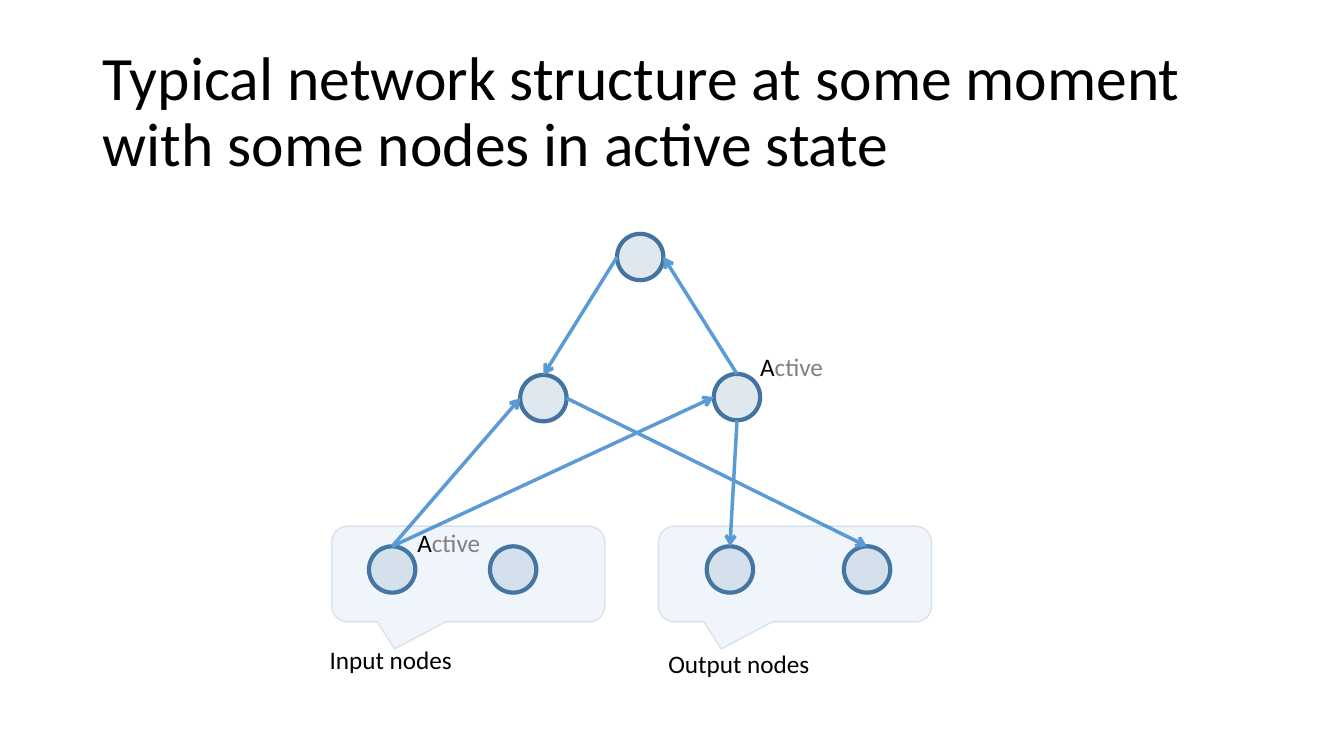
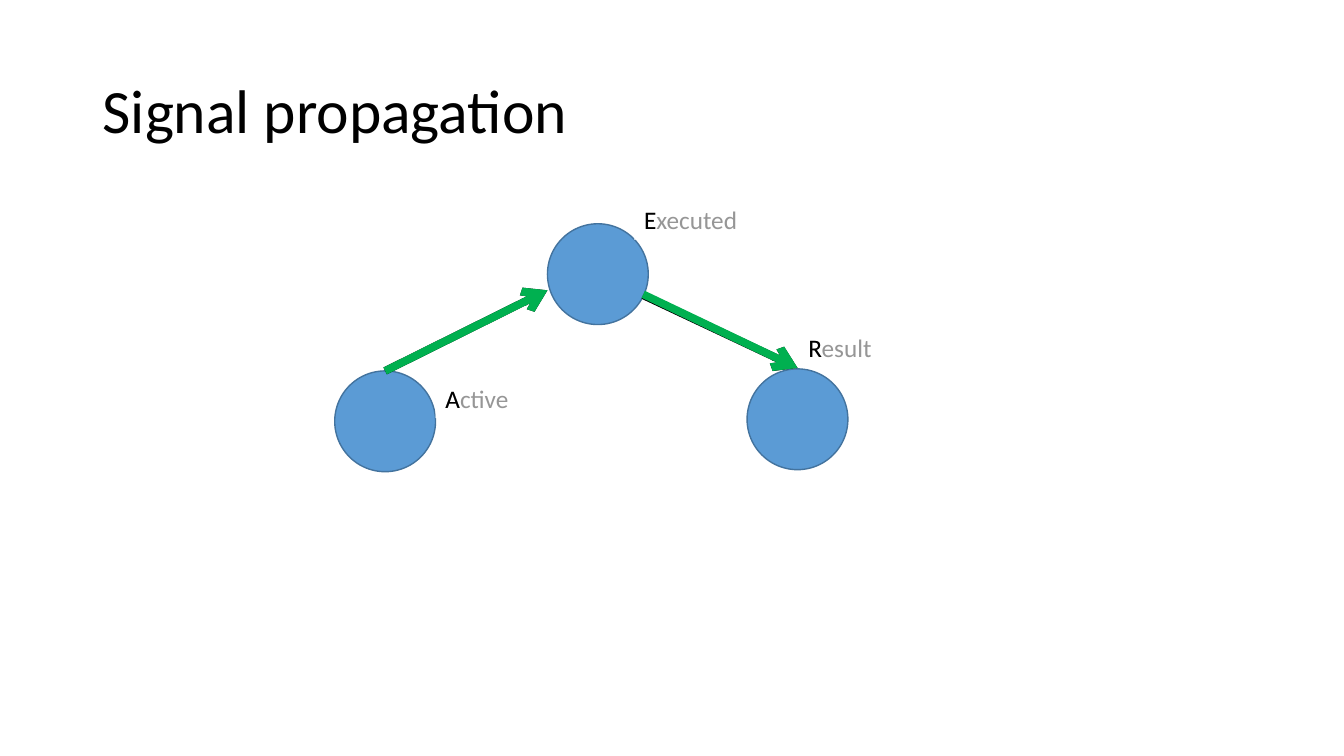
from lxml import etree
from pptx import Presentation
from pptx.dml.color import RGBColor
from pptx.enum.shapes import MSO_CONNECTOR as Link, MSO_SHAPE as Shape
from pptx.enum.text import MSO_ANCHOR as Anchor
from pptx.oxml.ns import qn
from pptx.util import Inches, Pt

FONT = "Calibri"
BLACK, GREY, WHITE = "000000", "808080", "FFFFFF"
BLUE, EDGE, STEEL, GREEN = "5B9BD5", "43739E", "41719C", "00B050"


def paint(target, color, alpha=None):
    """Set a fill or line fill to a hex colour, with optional opacity in percent."""
    target.solid()
    target.fore_color.rgb = RGBColor.from_string(color)
    if alpha is not None:
        node = next(target._xPr.iter(qn("a:srgbClr")))
        etree.SubElement(node, qn("a:alpha"), val=str(alpha * 1000))


def spot(node, side):
    """Return the point in the middle of one side of a node."""
    x, y, w, h = node.left, node.top, node.width, node.height
    return {
        "top": (x + w // 2, y),
        "left": (x, y + h // 2),
        "bottom": (x + w // 2, y + h),
        "right": (x + w, y + h // 2),
    }[side]


class Deck:
    def __init__(self):
        self.prs = Presentation()
        self.prs.slide_width, self.prs.slide_height = Inches(13.33), Inches(7.5)
        self.slide = None

    def page(self, title):
        self.slide = self.prs.slides.add_slide(self.prs.slide_layouts[6])
        frame = self.text(0.92, 0.4, 11.5, 1.45, [(title, BLACK)], 44).text_frame
        frame.vertical_anchor = Anchor.MIDDLE
        frame.paragraphs[0].line_spacing = 0.9

    def text(self, x, y, w, h, parts, size=18):
        box = self.slide.shapes.add_textbox(Inches(x), Inches(y), Inches(w), Inches(h))
        frame = box.text_frame
        frame.word_wrap = True
        for words, color in parts:
            run = frame.paragraphs[0].add_run()
            run.text = words
            run.font.name, run.font.size = FONT, Pt(size)
            run.font.color.rgb = RGBColor.from_string(color)
        return box

    def state(self, x, y, w):
        """Label a node as active, the first letter in black."""
        self.text(x, y, w, 0.4, [("A", BLACK), ("ctive", GREY)])

    def veil(self, x, y, word, width=1.59, back=True):
        """Dim a word with a pale cover that repeats its first letter."""
        base = self.text(x, y, 1.59, 0.4, [(word, BLACK)])
        if back:
            paint(base.fill, WHITE)
        cover = self.text(x, y, width, 0.4, [(word[0], BLACK)])
        paint(cover.fill, WHITE, 59)

    def form(self, kind, x, y, w, h, fill, alpha, width, fade=None):
        shape = self.slide.shapes.add_shape(kind, Inches(x), Inches(y), Inches(w), Inches(h))
        shape.shadow.inherit = False
        paint(shape.fill, fill, alpha)
        shape.line.width = Pt(width)
        paint(shape.line.fill, EDGE, fade)
        return shape

    def node(self, x, y, size=0.46, fill=STEEL, alpha=16, width=3):
        return self.form(Shape.OVAL, x, y, size, size, fill, alpha, width)

    def group(self, x):
        """Draw the callout around a pair of nodes."""
        shape = self.form(Shape.ROUNDED_RECTANGULAR_CALLOUT, x, 5.22, 2.71, 0.95, BLUE, 9, 1, 16)
        for i, value in enumerate((-0.27, 0.783, 0.167)):
            shape.adjustments[i] = value

    def arrow(self, start, end, color=BLUE, width=2.5):
        line = self.slide.shapes.add_connector(Link.STRAIGHT, *start, *end)
        line.line.width = Pt(width)
        paint(line.line.fill, color)
        etree.SubElement(line.line._get_or_add_ln(), qn("a:tailEnd"), type="arrow")
        etree.SubElement(line._element.spPr, qn("a:effectLst"))
        return line

    def join(self, first, out, last, into):
        """Link two nodes; top ends are glued, as circles number other sites differently."""
        line = self.arrow(spot(first, out), spot(last, into))
        if out == "top":
            line.begin_connect(first, 0)
        if into == "top":
            line.end_connect(last, 0)

    def signal(self, x1, y1, x2, y2, shift=0):
        """Draw a green arrow over a black one that starts a little lower."""
        for color, gap in ((BLACK, shift), (GREEN, 0)):
            start = Inches(x1), Inches(y1 + gap)
            self.arrow(start, (Inches(x2), Inches(y2)), color, 5.5)


def network(deck):
    deck.page("Typical network structure at some moment with some nodes in active state")
    source, _, sink, goal = [deck.node(x, 5.42) for x in (3.66, 4.86, 7.01, 8.37)]
    west, east = deck.node(5.16, 3.72), deck.node(7.08, 3.71)
    peak = deck.node(6.12, 2.32)
    for link in (
        (source, "top", west, "left"),
        (west, "right", goal, "top"),
        (source, "top", east, "left"),
        (east, "bottom", sink, "top"),
        (east, "top", peak, "right"),
        (peak, "left", west, "top"),
    ):
        deck.join(*link)
    deck.group(3.29)
    deck.text(3.17, 6.34, 1.89, 0.71, [("Input nodes", BLACK)])
    deck.group(6.53)
    deck.text(6.53, 6.38, 2.17, 0.4, [("Output nodes", BLACK)])
    deck.state(4.04, 5.18, 0.95)
    deck.state(7.44, 3.44, 0.91)


def signals(deck):
    deck.page("Signal propagation")
    for x, y in ((3.32, 3.68), (5.43, 2.22)):
        deck.node(x, y, 1, BLUE, None, 1)
    deck.signal(3.82, 3.68, 5.43, 2.88)
    deck.veil(6.29, 1.98, "Executed", back=False)
    deck.node(7.41, 3.66, 1, BLUE, None, 1)
    deck.signal(6.38, 2.92, 7.91, 3.65, 0.01)
    deck.veil(4.32, 3.75, "Active")
    deck.veil(7.92, 3.25, "Result", 0.87)


def main():
    deck = Deck()
    network(deck)
    signals(deck)
    deck.prs.save("out.pptx")


if __name__ == "__main__":
    main()
